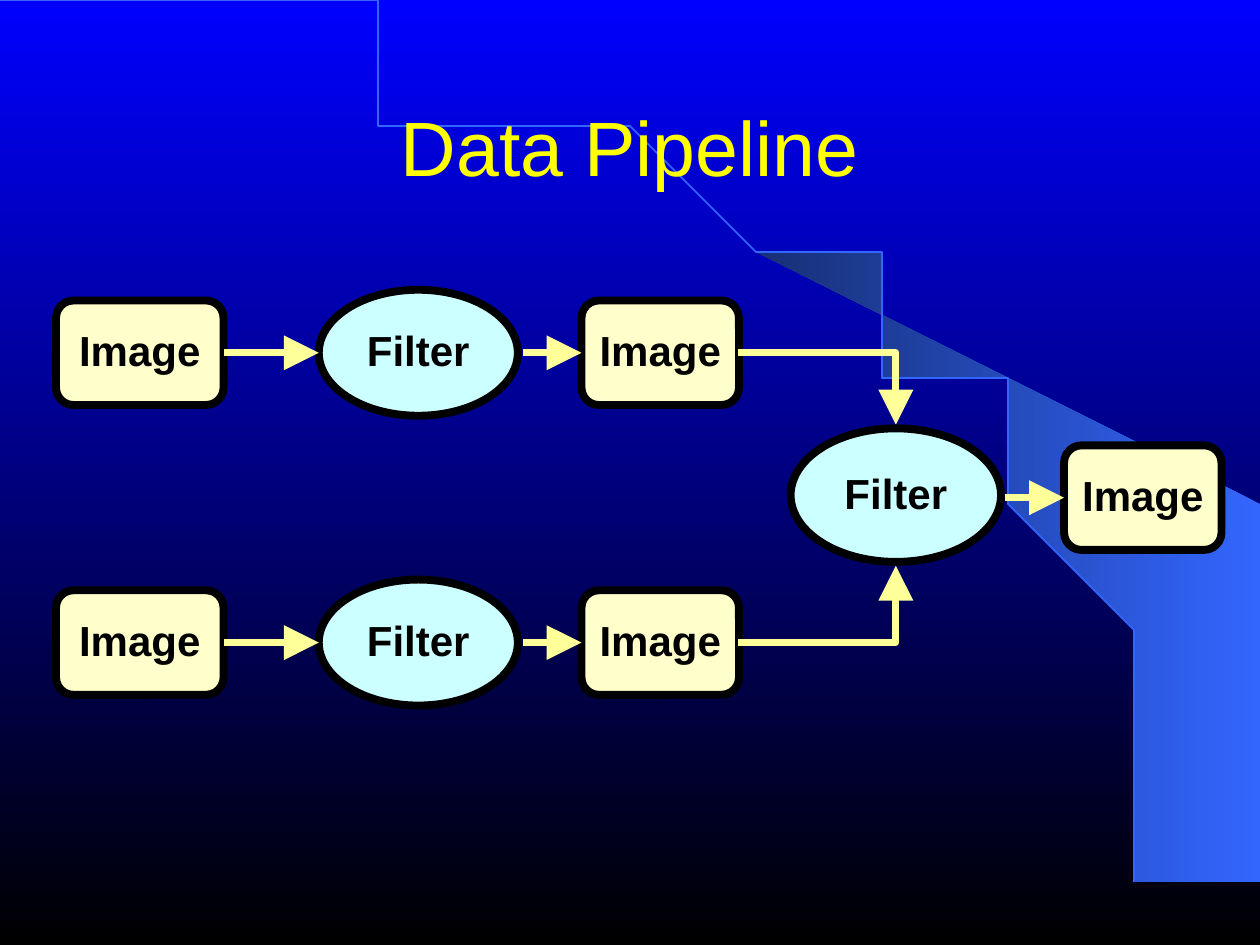
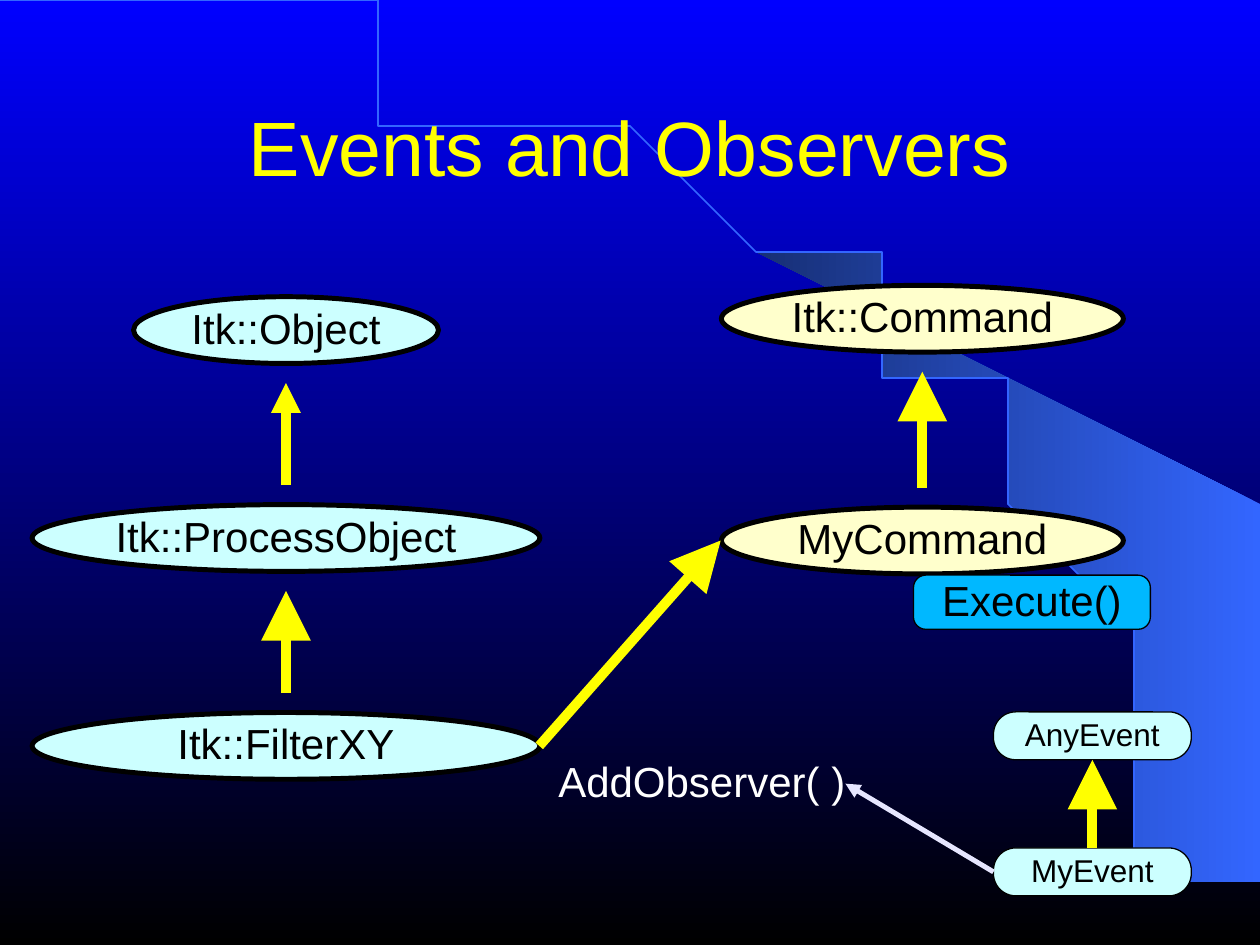
"""Build two slides: a data pipeline and an event/observer class diagram."""
from math import cos, radians, sin

from lxml import etree
from pptx import Presentation
from pptx import util as u
from pptx.dml.color import RGBColor
from pptx.enum import shapes, text
from pptx.oxml.ns import qn

rgb = RGBColor.from_string
FONT = "Arial"
BLACK, WHITE, TITLE = "000000", "FFFFFF", "FFFF00"
CREAM, AQUA, SKY = "FFFFCC", "CCFFFF", "00B8FF"
PALE_YELLOW, YELLOW, LAVENDER = "FFFF99", "FFFF00", "E6E6FF"
ARC, SWOOSH_DARK = "3366FF", "172F75"
ROUNDED = shapes.MSO_SHAPE.ROUNDED_RECTANGLE
OVAL = shapes.MSO_SHAPE.OVAL
STRAIGHT, ELBOW = shapes.MSO_CONNECTOR.STRAIGHT, shapes.MSO_CONNECTOR.ELBOW


def add_node(slide, kind, center, size, label, fill=None, line=4.5, radius=None,
             points=24, color=BLACK, bold=False):
    box = [u.Inches(value) for value in (center[0] - size[0] / 2, center[1] - size[1] / 2, *size)]
    if kind is None:
        shape = slide.shapes.add_textbox(*box)
    else:
        shape = slide.shapes.add_shape(kind, *box)
        shape.shadow.inherit = False
        shape.fill.solid()
        shape.fill.fore_color.rgb = rgb(fill)
        shape.line.color.rgb = rgb(BLACK)
        shape.line.width = u.Pt(line)
    if radius is not None:
        shape.adjustments[0] = radius
    frame = shape.text_frame
    frame.margin_left = frame.margin_right = frame.margin_top = frame.margin_bottom = 0
    frame.word_wrap = False
    frame.vertical_anchor = text.MSO_ANCHOR.MIDDLE
    frame.text = label
    paragraph = frame.paragraphs[0]
    paragraph.alignment = text.PP_ALIGN.CENTER
    paragraph.line_spacing = 0.93
    font = paragraph.runs[0].font
    font.name, font.size, font.bold = FONT, u.Pt(points), bold
    font.color.rgb = rgb(color)
    return shape


def add_link(slide, start, end, color, width, head="lg", kind=STRAIGHT):
    link = slide.shapes.add_connector(kind, *[u.Inches(value) for value in (*start, *end)])
    link.line.color.rgb = rgb(color)
    link.line.width = u.Pt(width)
    properties = link._element.spPr
    if kind == ELBOW:
        properties.find(qn("a:prstGeom")).set("prst", "bentConnector2")
    etree.SubElement(properties.find(qn("a:ln")), qn("a:tailEnd"), type="triangle", w=head, len=head)
    etree.SubElement(properties, qn("a:effectLst"))
    return link


presentation = Presentation()
presentation.slide_width, presentation.slide_height = u.Inches(10), u.Inches(7.5)

backdrop = presentation.slide_master.background.fill
backdrop.gradient()
backdrop.gradient_angle = 270
for stop, color in zip(backdrop.gradient_stops, ("0000FF", BLACK)):
    stop.color.rgb = rgb(color)

arc_points = [(9.2 * cos(radians(angle)), 7.49 * (1 - sin(radians(angle)))) for angle in range(0, 91, 2)]
swoosh_points = arc_points[:26] + [(9.99, 4.23), (9.99, 7.49)]

slides = []
for title in ("Data Pipeline", "Events and Observers"):
    slide = presentation.slides.add_slide(presentation.slide_layouts[6])
    for points, closed in ((swoosh_points, True), (arc_points, False)):
        builder = slide.shapes.build_freeform(*points[0], scale=u.Inches(1))
        builder.add_line_segments(points[1:], close=closed)
        curve = builder.convert_to_shape()
        curve.shadow.inherit = False
        if closed:
            curve.line.fill.background()
            curve.fill.gradient()
            curve.fill.gradient_angle = 180
            for stop, color in zip(curve.fill.gradient_stops, (ARC, SWOOSH_DARK)):
                stop.color.rgb = rgb(color)
        else:
            curve.fill.background()
            curve.line.color.rgb = rgb(ARC)
            curve.line.width = u.Pt(1)
    add_node(slide, None, (5, 1.2), (8.5, 1.25), title, points=44, color=TITLE)
    slides.append(slide)

pipeline, observers = slides

image_size = (1.25, 0.83)
image_style = dict(label="Image", fill=CREAM, radius=0.167, bold=True)
filter_style = dict(label="Filter", fill=AQUA, bold=True)
merge_x, merge_y = 7.11, 3.93
for row_y, merge_edge in ((2.8, 3.37), (5.1, 4.49)):
    source = add_node(pipeline, ROUNDED, (1.11, row_y), (1.33, 0.83), **image_style)
    add_node(pipeline, OVAL, (3.32, row_y), (1.58, 1), **filter_style)
    result = add_node(pipeline, ROUNDED, (5.24, row_y), image_size, **image_style)
    add_link(pipeline, (1.78, row_y), (2.53, row_y), PALE_YELLOW, 4).begin_connect(source, 3)
    add_link(pipeline, (4.15, row_y), (4.61, row_y), PALE_YELLOW, 4).end_connect(result, 1)
    add_link(pipeline, (5.86, row_y), (merge_x, merge_edge), PALE_YELLOW, 4, kind=ELBOW)
add_node(pipeline, OVAL, (merge_x, merge_y), (1.67, 1.06), **filter_style)
output = add_node(pipeline, ROUNDED, (9.07, 3.95), image_size, **image_style)
add_link(pipeline, (7.98, 3.95), (8.45, 3.95), PALE_YELLOW, 4).end_connect(output, 1)

object_x, command_x, event_x = 2.27, 7.32, 8.67
classes = [
    ("Itk::Object", object_x, 2.62, 2.42, AQUA),
    ("Itk::ProcessObject", object_x, 4.27, 4.03, AQUA),
    ("Itk::FilterXY", object_x, 5.92, 4.03, AQUA),
    ("Itk::Command", command_x, 2.53, 3.19, CREAM),
    ("MyCommand", command_x, 4.29, 3.19, CREAM),
]
for name, x, y, width, fill in classes:
    add_node(observers, OVAL, (x, y), (width, 0.53), name, fill, line=2.83)
for x, bottom, top, head in ((object_x, 3.85, 3.04, "med"), (object_x, 5.5, 4.69, "lg"),
                             (command_x, 3.87, 2.95, "lg")):
    add_link(observers, (x, bottom), (x, top), YELLOW, 5.67, head)
add_node(observers, ROUNDED, (8.19, 4.78), (1.88, 0.43), "Execute()", SKY, line=0.75, radius=0.228)
add_link(observers, (4.28, 5.92), (5.72, 4.29), YELLOW, 5.67)

add_observer = add_node(observers, None, (5.57, 6.22), (2.28, 0.37), "AddObserver( )", color=WHITE)
any_event, my_event = [
    add_node(observers, ROUNDED, (event_x, y), (1.57, 0.38), name, AQUA, line=0.75, radius=0.465, points=18)
    for name, y in (("AnyEvent", 5.84), ("MyEvent", 6.92))
]
for start, end, target, sites, color, width, head in (
        ((7.88, 6.92), (6.71, 6.22), add_observer, (1, 3), LAVENDER, 2.83, "med"),
        ((event_x, 6.73), (event_x, 6.03), any_event, (0, 2), YELLOW, 5.67, "lg")):
    link = add_link(observers, start, end, color, width, head)
    link.begin_connect(my_event, sites[0])
    link.end_connect(target, sites[1])

presentation.save("out.pptx")
